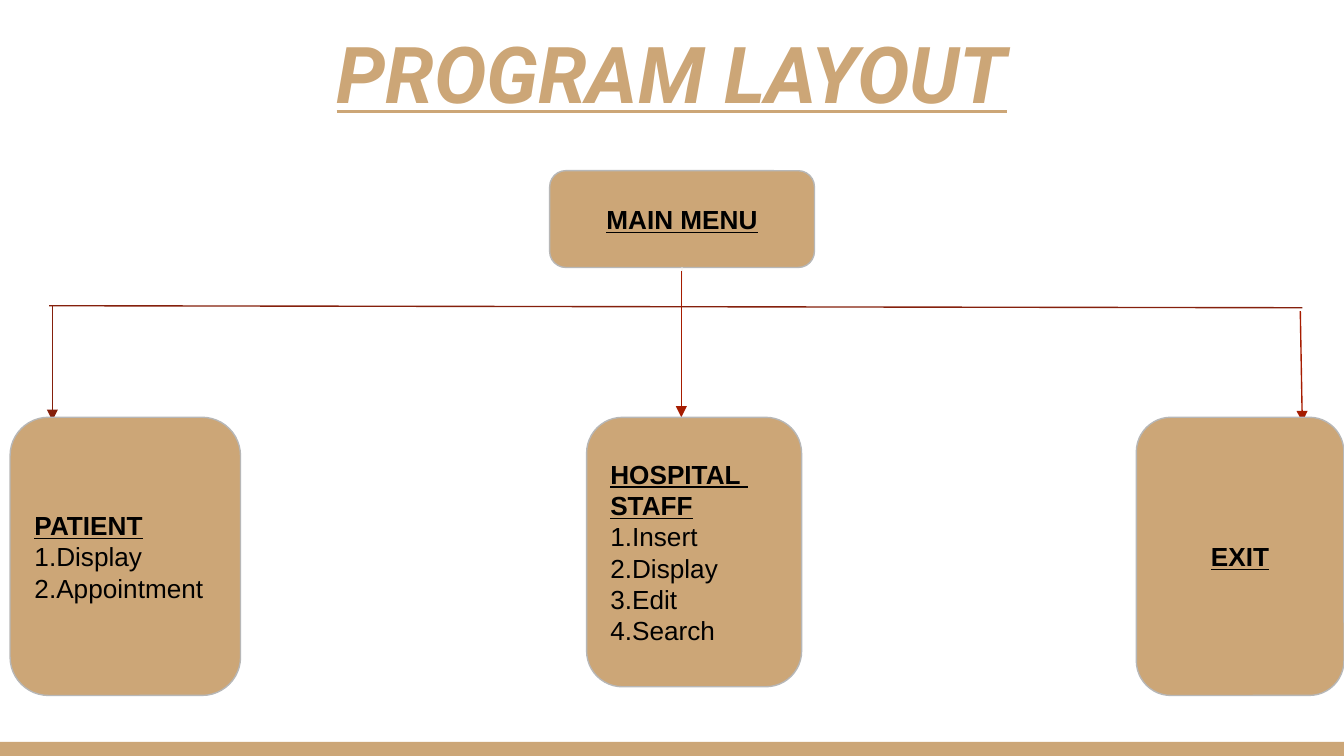
from dataclasses import dataclass

from lxml import etree
from pptx import Presentation
from pptx import util as u
from pptx.dml import color
from pptx.enum import shapes, text
from pptx.oxml import ns

PX = 4572


@dataclass(frozen=True)
class Theme:
    tan: str = "CCA677"
    edge: str = "B7B7B7"
    ink: str = "000000"
    pale: str = "F3F3F3"
    maroon: str = "85200C"
    red: str = "A61C00"
    title_size: int = 42
    body_size: int = 14
    title_font: str = "Roboto"
    body_font: str = "Arial"
    line_width: float = 0.75


def rgb(value):
    return color.RGBColor.from_string(value)


def px(*lengths):
    return [u.Emu(length * PX) for length in lengths]


def write(para, words, *, font, size, ink, bold=False, italic=False,
          underline=False, align=text.PP_ALIGN.LEFT):
    para.alignment = align
    para.line_spacing = 1.0
    span = para.add_run()
    span.text = words
    span.font.name = font
    span.font.size = u.Pt(size)
    span.font.color.rgb = rgb(ink)
    span.font.bold = bold
    span.font.italic = italic
    span.font.underline = underline


class Painter:
    def __init__(self, slide, theme):
        self.slide = slide
        self.theme = theme

    def frame(self, shape, anchor):
        frame = shape.text_frame
        frame.word_wrap = True
        frame.auto_size = text.MSO_AUTO_SIZE.NONE
        frame.vertical_anchor = anchor
        frame.margin_left, frame.margin_top, frame.margin_right, frame.margin_bottom = px(20, 20, 20, 20)
        return frame

    def title(self, words, left, top, width, height):
        title = self.slide.shapes.title
        title.left, title.top, title.width, title.height = px(left, top, width, height)
        frame = self.frame(title, text.MSO_ANCHOR.BOTTOM)
        write(frame.paragraphs[0], words, font=self.theme.title_font,
              size=self.theme.title_size, ink=self.theme.tan, bold=True,
              italic=True, underline=True, align=text.PP_ALIGN.CENTER)

    def shape(self, kind, left, top, width, height):
        shape = self.slide.shapes.add_shape(kind, *px(left, top, width, height))
        shape.shadow.inherit = False
        shape.fill.solid()
        shape.fill.fore_color.rgb = rgb(self.theme.tan)
        return shape

    def bar(self, left, top, width, height):
        bar = self.shape(shapes.MSO_SHAPE.RECTANGLE, left, top, width, height)
        bar.line.fill.background()

    def box(self, left, top, width, height, headings, items=()):
        box = self.shape(shapes.MSO_SHAPE.ROUNDED_RECTANGLE, left, top, width, height)
        box.line.color.rgb = rgb(self.theme.edge)
        box.line.width = u.Pt(self.theme.line_width)
        frame = self.frame(box, text.MSO_ANCHOR.MIDDLE)
        align = text.PP_ALIGN.LEFT if items else text.PP_ALIGN.CENTER
        numbered = [f"{number}.{item}" for number, item in enumerate(items, 1)]
        for index, words in enumerate([*headings, *numbered]):
            para = frame.add_paragraph() if index else frame.paragraphs[0]
            heading = index < len(headings)
            write(para, words, font=self.theme.body_font, size=self.theme.body_size,
                  ink=self.theme.ink, bold=heading, underline=heading, align=align)

    def line(self, start, end, ink, arrow=False):
        line = self.slide.shapes.add_connector(
            shapes.MSO_CONNECTOR.STRAIGHT, *px(*start, *end))
        line.line.color.rgb = rgb(ink)
        line.line.width = u.Pt(self.theme.line_width)
        if arrow:
            etree.SubElement(line.line._get_or_add_ln(), ns.qn("a:tailEnd"), type="triangle")
        etree.SubElement(line._element.spPr, ns.qn("a:effectLst"))


def main():
    deck = Presentation()
    deck.slide_width, deck.slide_height = px(2000, 1125)
    page = deck.slides.add_slide(deck.slide_layouts[5])
    theme = Theme()
    painter = Painter(page, theme)

    painter.bar(0, 1104, 2000, 21)
    painter.title("PROGRAM LAYOUT", 68, 16, 1864, 182)
    painter.box(818, 254, 394, 144, ["MAIN MENU"])

    painter.line((1015, 398), (1014, 456), theme.pale)
    painter.line((73, 455), (1938, 458), theme.maroon)
    painter.line((78, 456), (78, 626), theme.maroon, arrow=True)
    painter.line((1014, 458), (1014, 621), theme.red, arrow=True)
    painter.line((1935, 463), (1938, 628), theme.red, arrow=True)

    painter.box(15, 621, 343, 414, ["PATIENT"], ["Display", "Appointment"])
    painter.box(873, 621, 320, 401, ["HOSPITAL ", "STAFF"],
                ["Insert", "Display", "Edit", "Search"])
    painter.box(1691, 621, 309, 414, ["EXIT"])
    painter.line((1014, 403), (1014, 466), theme.red)

    deck.save("out.pptx")


if __name__ == "__main__":
    main()
